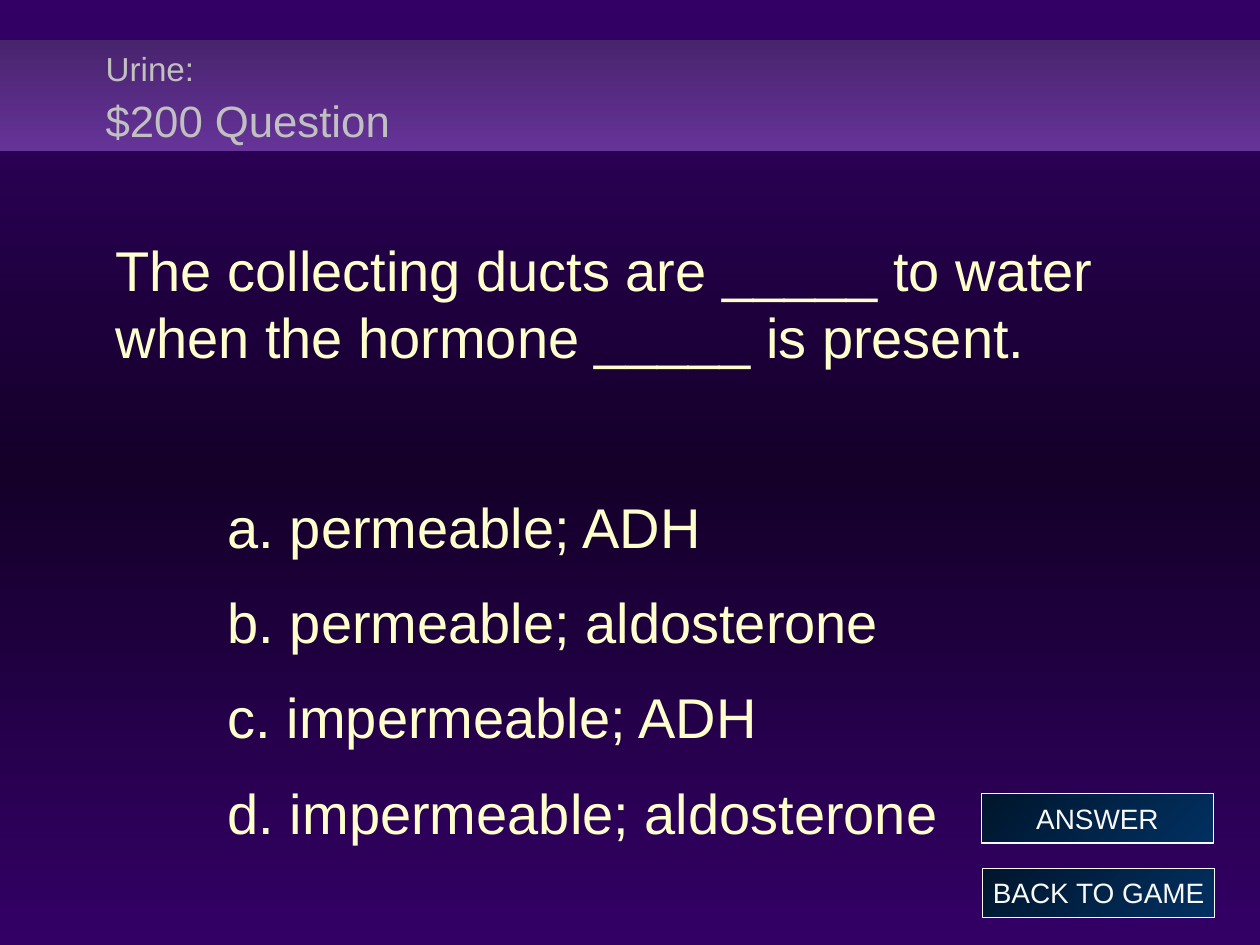
import dataclasses

import pptx
import pptx.dml.color
import pptx.enum.shapes
import pptx.enum.text
import pptx.oxml.ns
import pptx.oxml.xmlchemy
import pptx.util
from lxml import etree

Inches = pptx.util.Inches
Pt = pptx.util.Pt
qn = pptx.oxml.ns.qn
Align = pptx.enum.text.PP_ALIGN
Anchor = pptx.enum.text.MSO_ANCHOR


@dataclasses.dataclass
class Theme:
    font: str = "Arial"
    # Colours
    head: str = "C0C0C0"
    body: str = "FFFFCC"
    label: str = "F8F8F8"
    back: tuple = ((0, "330066"), (50, "140029"), (100, "330066"))
    band: tuple = ((0, "48246D"), (100, "663399"))
    button: tuple = ((0, "013061"), (100, "00162C"))
    # Type sizes and gaps in points
    topic: int = 19
    value: int = 25
    text: int = 32
    small: int = 16
    gap: int = 16
    wide: int = 70


class Board:
    def __init__(self, slide, theme):
        self.slide = slide
        self.theme = theme

    def blend(self, fill, root, stops, angle):
        """Fill with colour stops; the angle runs clockwise."""
        fill.gradient()
        fill.gradient_angle = 360 - angle
        ramp = root.find(".//" + qn("a:gsLst"))
        for old in list(ramp):
            ramp.remove(old)
        for spot, tint in stops:
            stop = etree.SubElement(ramp, qn("a:gs"), pos=str(spot * 1000))
            etree.SubElement(stop, qn("a:srgbClr"), val=tint)

    def back(self):
        fill = self.slide.background.fill
        self.blend(fill, self.slide._element, self.theme.back, 90)

    def rect(self, box, stops, angle):
        shape = self.slide.shapes.add_shape(
            pptx.enum.shapes.MSO_SHAPE.RECTANGLE, *map(Inches, box))
        shape.shadow.inherit = False
        self.blend(shape.fill, shape._element, stops, angle)
        shape.line.fill.background()
        return shape

    def frame(self, box):
        frame = self.slide.shapes.add_textbox(*map(Inches, box)).text_frame
        frame.word_wrap = True
        frame.vertical_anchor = Anchor.MIDDLE
        return frame

    def style(self, para, tint, size=None):
        para.font.name = self.theme.font
        para.font.color.rgb = pptx.dml.color.RGBColor.from_string(tint)
        if size:
            para.font.size = Pt(size)

    def title(self, box, topic, value):
        para = self.frame(box).paragraphs[0]
        para.line_spacing = 1.1
        first = para.add_run()
        first.text = topic
        first.font.size = Pt(self.theme.topic)
        para.add_line_break()
        second = para.add_run()
        second.text = value
        second.font.size = Pt(self.theme.value)
        self.style(para, self.theme.head)

    def quiz(self, box, question, options):
        theme = self.theme
        frame = self.frame(box)
        para = frame.paragraphs[0]
        para.text = question
        self.style(para, theme.body, theme.text)
        for index, option in enumerate(options):
            para = frame.add_paragraph()
            para.text = option
            para.space_before = Pt(theme.gap if index else theme.wide)
            props = para._p.get_or_add_pPr()
            props.set("marL", str(Inches(1.51)))
            props.set("indent", str(Inches(-0.62)))
            self.style(para, theme.body, theme.text)

    def button(self, box, label):
        theme = self.theme
        shape = self.rect(box, theme.button, 225)
        shape.line.color.rgb = pptx.dml.color.RGBColor.from_string(theme.label)
        shape.line.width = Pt(0.75)
        frame = shape.text_frame
        frame.word_wrap = False
        frame.vertical_anchor = Anchor.MIDDLE
        para = frame.paragraphs[0]
        para.text = label
        para.alignment = Align.CENTER
        self.style(para, theme.label, theme.small)


def main():
    deck = pptx.Presentation()
    deck.slide_width, deck.slide_height = Inches(10), Inches(7.5)
    theme = Theme()
    board = Board(deck.slides.add_slide(deck.slide_layouts[6]), theme)

    # Background and title band
    board.back()
    board.rect((0, 0.32, 10, 0.88), theme.band, 90)
    board.title((0.74, 0.31, 9.08, 0.89), "Urine:", "$200 Question")

    # Question and options
    board.quiz(
        (0.82, 1.43, 8.64, 5.72),
        "The collecting ducts are _____ to water "
        "when the hormone _____ is present.",
        ("a. permeable; ADH", "b. permeable; aldosterone",
         "c. impermeable; ADH", "d. impermeable; aldosterone"))

    # Buttons
    board.button((7.8, 6.89, 1.84, 0.39), "BACK TO GAME")
    board.button((7.79, 6.3, 1.84, 0.39), "ANSWER")

    deck.save("out.pptx")


if __name__ == "__main__":
    main()
